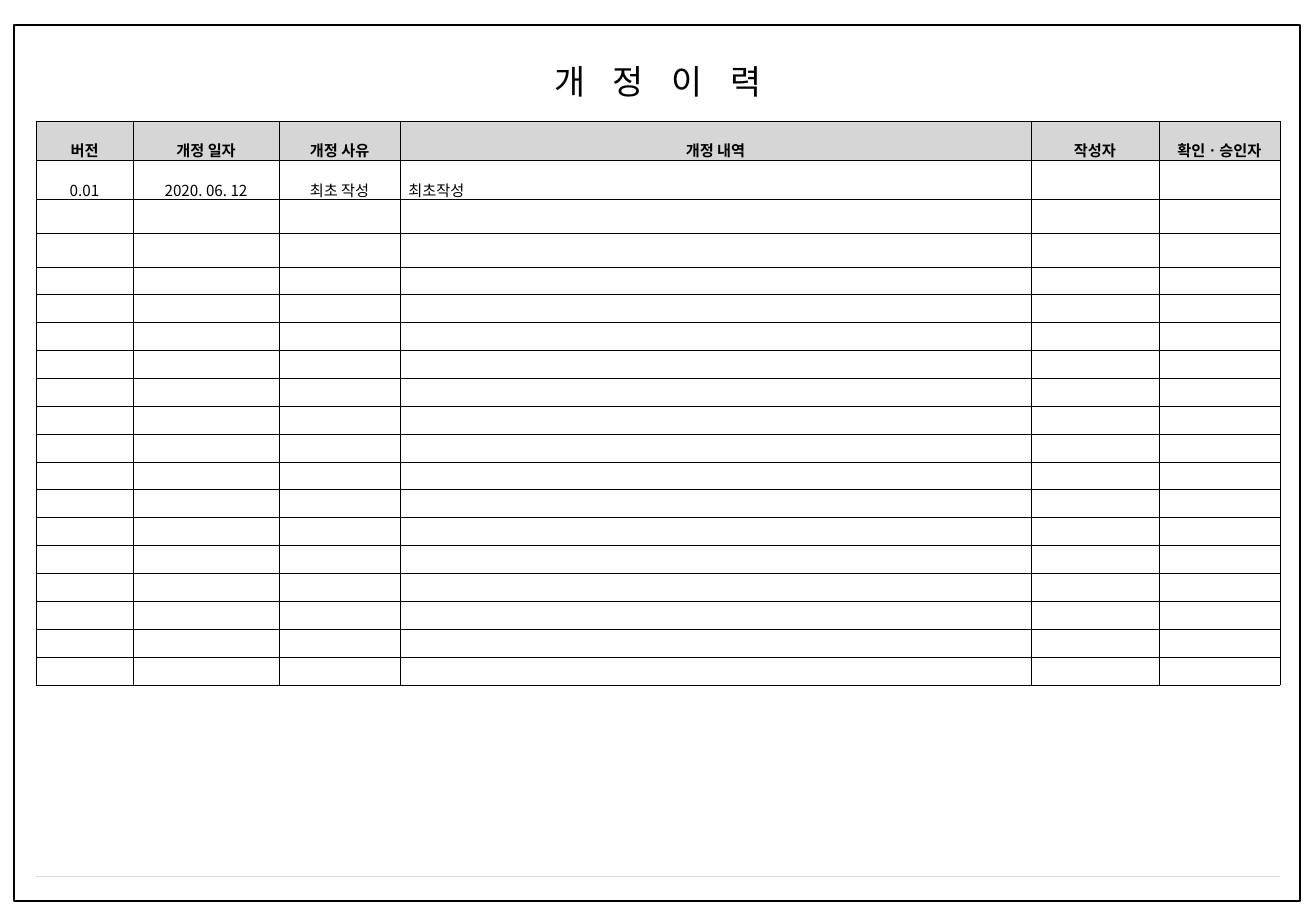
from pptx import Presentation
from pptx.dml.color import RGBColor
from pptx.enum.shapes import MSO_CONNECTOR as Conn, MSO_SHAPE as Kind
from pptx.enum.text import MSO_ANCHOR as Anchor, PP_ALIGN as Align
from pptx.oxml.ns import qn
from pptx.util import Pt
from lxml.etree import SubElement as Sub

# Content
TITLE = "개 정 이 력"
HEAD = ["버전", "개정 일자", "개정 사유", "개정 내역", "작성자", "확인ㆍ승인자"]
FIRST = ["0.01", "2020. 06. 12", "최초 작성", " 최초작성", "", ""]
BLANK = 17
ROWS = [HEAD, FIRST] + [[""] * len(HEAD)] * BLANK

# Look
FONT = "Noto Sans CJK KR"
BLACK = RGBColor(0, 0, 0)
GREY = RGBColor(0xD6, 0xD6, 0xD6)
PALE = RGBColor(0xD9, 0xD9, 0xD9)

# Sizes in px
SCALE = 7526  # EMU in one px
LEFT, WIDE = 36, 1244
COLS = [97, 146, 121, 631, 128, 121]
TALL, LOW, SMALL = [39, 39, 34, 34], 418, 15
HIGH = TALL + [LOW * (i + 1) // SMALL - LOW * i // SMALL for i in range(SMALL)]
PAD = 5


def px(n):
    return n * SCALE


def write(para, text, size, bold=False):
    run = para.add_run()
    run.text = text
    font = run.font
    font.size, font.bold, font.name = Pt(size), bold, FONT
    font.color.rgb = BLACK
    props = run._r.get_or_add_rPr()
    Sub(props, qn("a:ea")).set("typeface", FONT)
    return props


def edge(cell):
    props = cell._tc.get_or_add_tcPr()
    for i, side in enumerate(("a:lnL", "a:lnR", "a:lnT", "a:lnB")):
        line = props.makeelement(qn(side), {"w": str(Pt(0.28))})
        props.insert(i, line)
        fill = Sub(line, qn("a:solidFill"))
        Sub(fill, qn("a:srgbClr")).set("val", str(BLACK))


deck = Presentation()
deck.slide_width, deck.slide_height = px(1316), px(911)
slide = deck.slides.add_slide(deck.slide_layouts[6])
shapes = slide.shapes

# Page frame
frame = shapes.add_shape(Kind.RECTANGLE, px(14), px(25), px(1286), px(876))
frame.shadow.inherit = False
frame.fill.background()
frame.line.color.rgb = BLACK
frame.line.width = Pt(0.75)

# Footer rule
rule = shapes.add_connector(Conn.STRAIGHT, px(LEFT), px(876),
                            px(LEFT + WIDE), px(876))
rule.line.color.rgb = PALE
rule.line.width = Pt(0.25)
Sub(rule._element.spPr, qn("a:effectLst"))

# Title, letters spread by tracking
box = shapes.add_textbox(px(LEFT), px(55), px(WIDE), px(53)).text_frame
box.word_wrap = True
para = box.paragraphs[0]
para.alignment = Align.CENTER
write(para, TITLE, 20).set("spc", "600")

# Revision table
table = shapes.add_table(len(ROWS), len(COLS), px(LEFT), px(121),
                         px(WIDE), px(sum(HIGH))).table
table.first_row = table.horz_banding = False
for col, wide in zip(table.columns, COLS):
    col.width = px(wide)
for r, (row, high) in enumerate(zip(ROWS, HIGH)):
    table.rows[r].height = px(high)
    for c, text in enumerate(row):
        cell = table.cell(r, c)
        cell.vertical_anchor = Anchor.MIDDLE
        cell.margin_left = cell.margin_right = px(PAD)
        cell.margin_top = cell.margin_bottom = px(PAD)
        if r == 0:
            cell.fill.solid()
            cell.fill.fore_color.rgb = GREY
        else:
            cell.fill.background()
        edge(cell)
        para = cell.text_frame.paragraphs[0]
        if text:
            para.line_spacing = 1.6
            left = r > 0 and c == 3
            para.alignment = Align.JUSTIFY if left else Align.CENTER
            write(para, text, 9, r == 0)
        else:
            Sub(para._p, qn("a:endParaRPr")).set("sz", "600")

deck.save("out.pptx")
